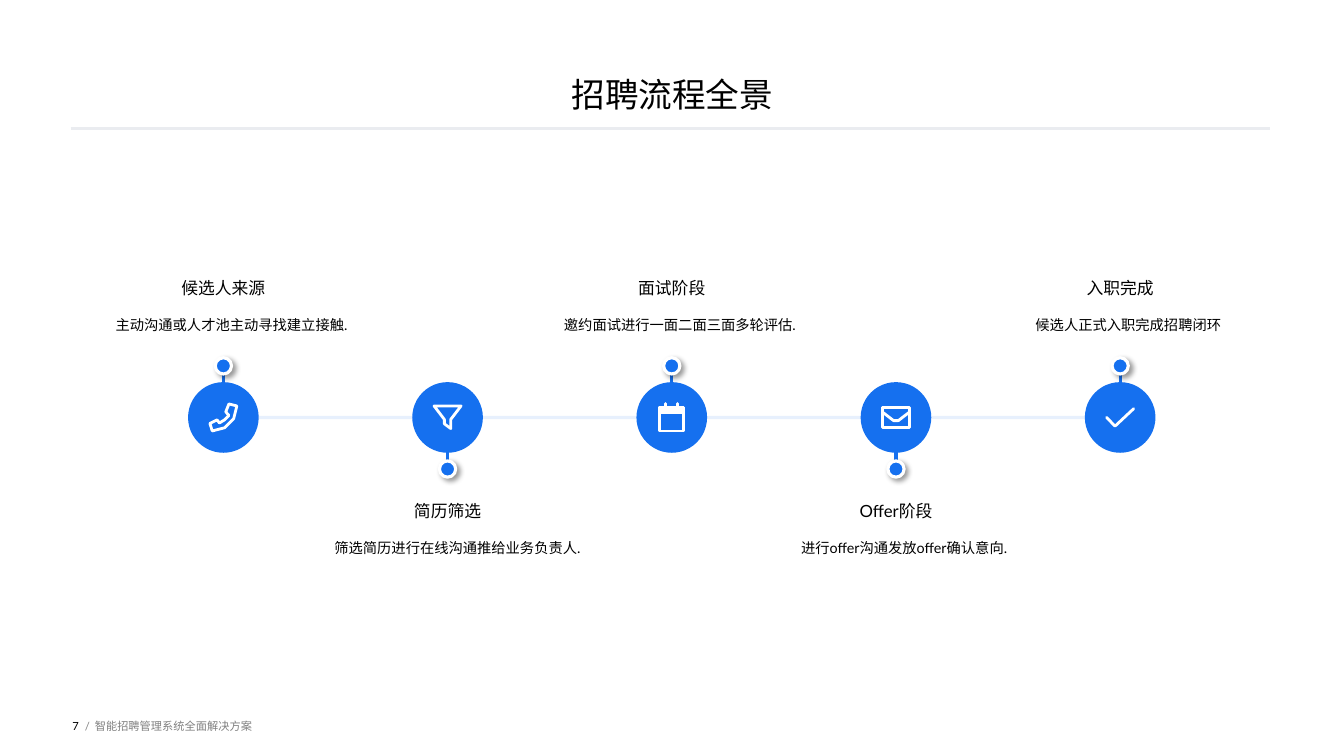
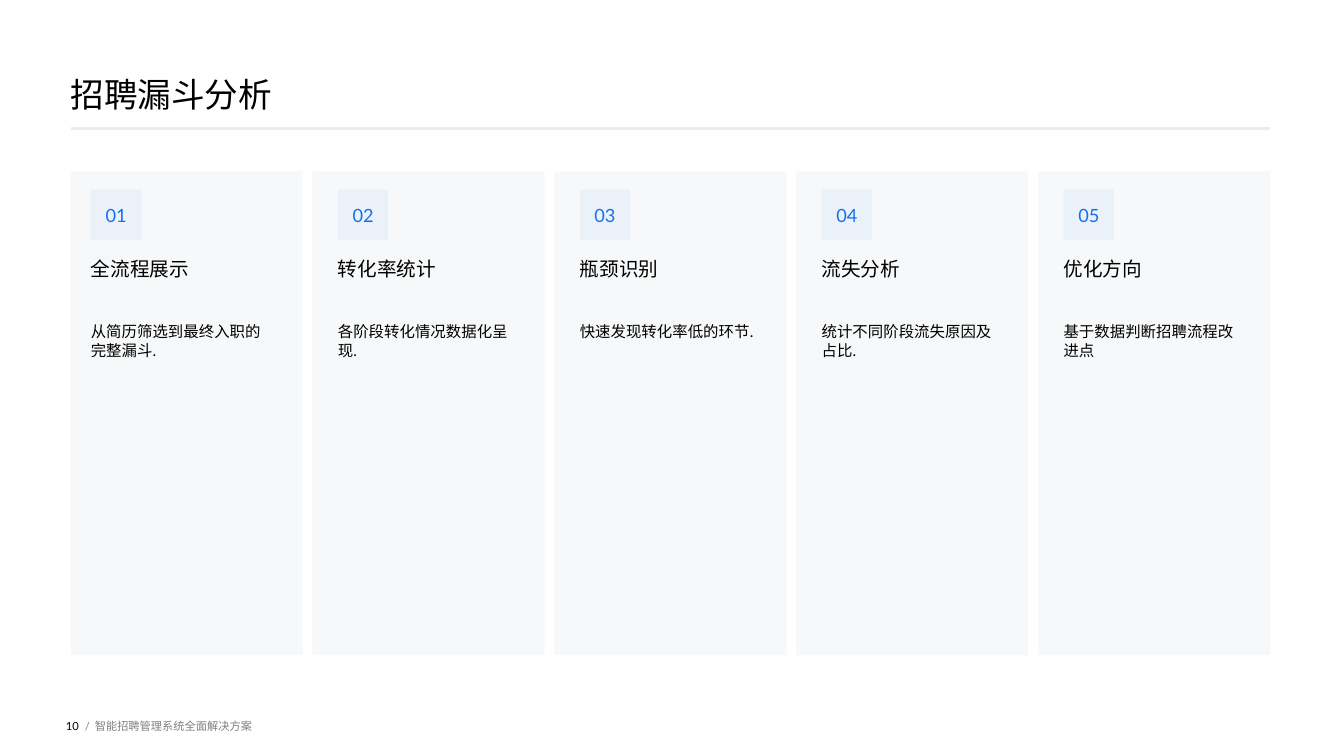
from lxml import etree
from pptx import Presentation
from pptx import util as u
from pptx.dml.color import RGBColor
from pptx.enum import shapes, text
from pptx.oxml.ns import qn

Cm, Pt = u.Cm, u.Pt
LEFT, CENTER, RIGHT = text.PP_ALIGN.LEFT, text.PP_ALIGN.CENTER, text.PP_ALIGN.RIGHT
TOP, MIDDLE, BOTTOM = text.MSO_ANCHOR.TOP, text.MSO_ANCHOR.MIDDLE, text.MSO_ANCHOR.BOTTOM


class Theme:
    font = "Lato"
    ink, muted, white = "000000", "808080", "FFFFFF"
    blue, pale_blue, navy, rule = "1570EF", "D0E2FC", "0E2841", "EAECF0"
    title, card_title, number, step, card_body, detail, footer = 24, 14, 13, 12, 11, 10.2, 8


def style(sp, fill=None, line=None, width=1, alpha=None):
    """Set fill, line and opacity in percent; return the emptied effect list."""
    if hasattr(sp, "fill"):
        if fill:
            sp.fill.solid()
            sp.fill.fore_color.rgb = RGBColor.from_string(fill)
        else:
            sp.fill.background()
    if line:
        sp.line.color.rgb = RGBColor.from_string(line)
        sp.line.width = Pt(width)
    else:
        sp.line.fill.background()
    sp_pr = sp._element.spPr
    if alpha:
        color = next(sp_pr.iter(qn("a:srgbClr")))
        etree.SubElement(color, qn("a:alpha"), val=str(alpha * 1000))
    return etree.SubElement(sp_pr, qn("a:effectLst"))


def write(sp, lines, color=Theme.ink, align=LEFT, anchor=TOP, spacing=None):
    """Fill a shape with paragraphs given as (text, size) pairs."""
    tf = sp.text_frame
    tf.word_wrap = True
    tf.vertical_anchor = anchor
    tf.margin_left = tf.margin_top = tf.margin_right = tf.margin_bottom = 0
    for i, (words, size) in enumerate(lines):
        p = tf.add_paragraph() if i else tf.paragraphs[0]
        p.text = words
        p.alignment = align
        p.line_spacing = spacing
        r = p.runs[0]
        r.font.name = Theme.font
        r.font.size = Pt(size)
        r.font.color.rgb = RGBColor.from_string(color)


prs = Presentation()
prs.slide_width, prs.slide_height = Cm(33.87), Cm(19.05)
left, content_width = 1.78, 30.23

# Title, rule and footer on every slide
for title, align, number in [("招聘流程全景", CENTER, "7"), ("招聘漏斗分析", LEFT, "10")]:
    s = prs.slides.add_slide(prs.slide_layouts[6])
    rule = s.shapes.add_connector(shapes.MSO_CONNECTOR.STRAIGHT, Cm(left), Cm(3.23),
                                  Cm(left + content_width), Cm(3.23))
    style(rule, line=Theme.rule, width=2)
    box = s.shapes.add_textbox(Cm(left), 0, Cm(30.33), Cm(2.87))
    write(box, [(title, Theme.title)], align=align, anchor=BOTTOM)
    for words, x, width, color, side in [
        (number, 1.19, 0.8, Theme.ink, RIGHT),
        ("/", 2.14, 0.25, Theme.muted, LEFT),
        ("智能招聘管理系统全面解决方案", 2.39, 21.87, Theme.muted, LEFT),
    ]:
        box = s.shapes.add_textbox(Cm(x), Cm(17.53), Cm(width), Cm(1.52))
        write(box, [(words, Theme.footer)], color, side, MIDDLE)

process, funnel = prs.slides

# Recruiting timeline
# Icon strokes: (points in cm from the disc centre, closed, filled)
phone = [([(0.14, -0.34), (0.34, -0.29), (0.26, 0.03), (0.03, 0.26), (-0.28, 0.34),
           (-0.34, 0.15), (-0.16, 0.06), (-0.1, 0.14), (0.03, 0.06), (0.14, -0.05),
           (0.06, -0.14)], True, False)]
sieve = [([(-0.34, -0.29), (0.34, -0.29), (0.08, 0.05), (0.08, 0.28), (-0.08, 0.16),
           (-0.08, 0.05)], True, False)]
calendar = [([(-0.3, -0.25), (0.3, -0.25), (0.3, 0.34), (-0.3, 0.34)], True, False),
            ([(-0.3, -0.25), (0.3, -0.25), (0.3, -0.13), (-0.3, -0.13)], True, True),
            ([(-0.15, -0.35), (-0.15, -0.25)], False, False),
            ([(0.15, -0.35), (0.15, -0.25)], False, False)]
envelope = [([(-0.34, -0.25), (0.34, -0.25), (0.34, 0.25), (-0.34, 0.25)], True, False),
            ([(-0.32, -0.12), (-0.06, 0.08), (0.06, 0.08), (0.32, -0.12)], False, False)]
check = [([(-0.34, 0), (-0.13, 0.22), (0.34, -0.22)], False, False)]

steps = [
    ("候选人来源", "主动沟通或人才池主动寻找建立接触.", phone),
    ("简历筛选", "筛选简历进行在线沟通推给业务负责人.", sieve),
    ("面试阶段", "邀约面试进行一面二面三面多轮评估.", calendar),
    ("Offer阶段", "进行offer沟通发放offer确认意向.", envelope),
    ("入职完成", "候选人正式入职完成招聘闭环", check),
]
axis_y, middle_x, pitch = 10.52, 16.93, 5.65
disc, dot, dot_offset = 1.78, 0.41, 1.3
label_width, label_height = 6.6, 4.06

axis = process.shapes.add_connector(
    shapes.MSO_CONNECTOR.STRAIGHT, Cm(middle_x - 2 * pitch + disc / 2), Cm(axis_y),
    Cm(middle_x + 2 * pitch - disc / 2), Cm(axis_y))
style(axis, line=Theme.pale_blue, width=2.25, alpha=50)

for i, (name, detail, icon) in enumerate(steps):
    x = middle_x + (i - 2) * pitch
    above = i % 2 == 0
    dot_y = axis_y - dot_offset if above else axis_y + dot_offset

    stem = process.shapes.add_connector(shapes.MSO_CONNECTOR.STRAIGHT,
                                        Cm(x), Cm(axis_y), Cm(x), Cm(dot_y))
    style(stem, line=Theme.blue, width=2.25)

    sp = process.shapes.add_shape(shapes.MSO_SHAPE.OVAL, Cm(x - disc / 2),
                                  Cm(axis_y - disc / 2), Cm(disc), Cm(disc))
    style(sp, Theme.blue)

    sp = process.shapes.add_shape(shapes.MSO_SHAPE.OVAL, Cm(x - dot / 2),
                                  Cm(dot_y - dot / 2), Cm(dot), Cm(dot))
    effects = style(sp, Theme.blue, Theme.white, 2.25)
    shadow = etree.SubElement(effects, qn("a:outerShdw"), blurRad=str(Pt(3.8)),
                              dist=str(Pt(3)), dir="2700000", algn="tl", rotWithShape="0")
    color = etree.SubElement(shadow, qn("a:srgbClr"), val=Theme.ink)
    etree.SubElement(color, qn("a:alpha"), val="40000")

    for points, closed, filled in icon:
        points = [(Cm(x + dx), Cm(axis_y + dy)) for dx, dy in points]
        outline = process.shapes.build_freeform(*points[0])
        outline.add_line_segments(points[1:], close=closed)
        sp = outline.convert_to_shape()
        style(sp, Theme.white if filled else None, Theme.white, 2)
        ln = sp._element.spPr.find(qn("a:ln"))
        ln.set("cap", "rnd")
        etree.SubElement(ln, qn("a:round"))

    label_y = axis_y - 2.11 - label_height if above else axis_y + 2.05
    box = process.shapes.add_textbox(Cm(x - label_width / 2), Cm(label_y),
                                     Cm(label_width), Cm(label_height))
    write(box, [(name, Theme.step), (detail, Theme.detail)], align=CENTER,
          anchor=BOTTOM if above else TOP, spacing=1.1)
    p = box.text_frame.paragraphs[1]
    p.space_before = Pt(12)
    p._p.get_or_add_pPr().set("marL", str(Cm(0.41)))

# Funnel analysis cards
cards = [
    ("全流程展示", "从简历筛选到最终入职的完整漏斗."),
    ("转化率统计", "各阶段转化情况数据化呈现."),
    ("瓶颈识别", "快速发现转化率低的环节."),
    ("流失分析", "统计不同阶段流失原因及占比."),
    ("优化方向", "基于数据判断招聘流程改进点"),
]
gap, tile = 0.25, 1.27
card_width = (content_width - gap * (len(cards) - 1)) / len(cards)

for i, (name, detail) in enumerate(cards):
    card_x = left + i * (card_width + gap)
    x = card_x + (0.64 if i else 0.51)

    sp = funnel.shapes.add_shape(shapes.MSO_SHAPE.RECTANGLE, Cm(card_x), Cm(4.32),
                                 Cm(card_width), Cm(12.19))
    style(sp, Theme.navy, alpha=3)

    sp = funnel.shapes.add_shape(shapes.MSO_SHAPE.RECTANGLE, Cm(x), Cm(4.78),
                                 Cm(tile), Cm(tile))
    style(sp, Theme.blue, alpha=5)
    write(sp, [(f"{i + 1:02}", Theme.number)], Theme.blue, CENTER, MIDDLE)

    box = funnel.shapes.add_textbox(Cm(x), Cm(6.53), Cm(4.57), Cm(1.27))
    write(box, [(name, Theme.card_title)], spacing=0.9)
    box = funnel.shapes.add_textbox(Cm(x), Cm(8.13), Cm(4.57), Cm(7.62))
    write(box, [(detail, Theme.card_body)])

prs.save("out.pptx")
